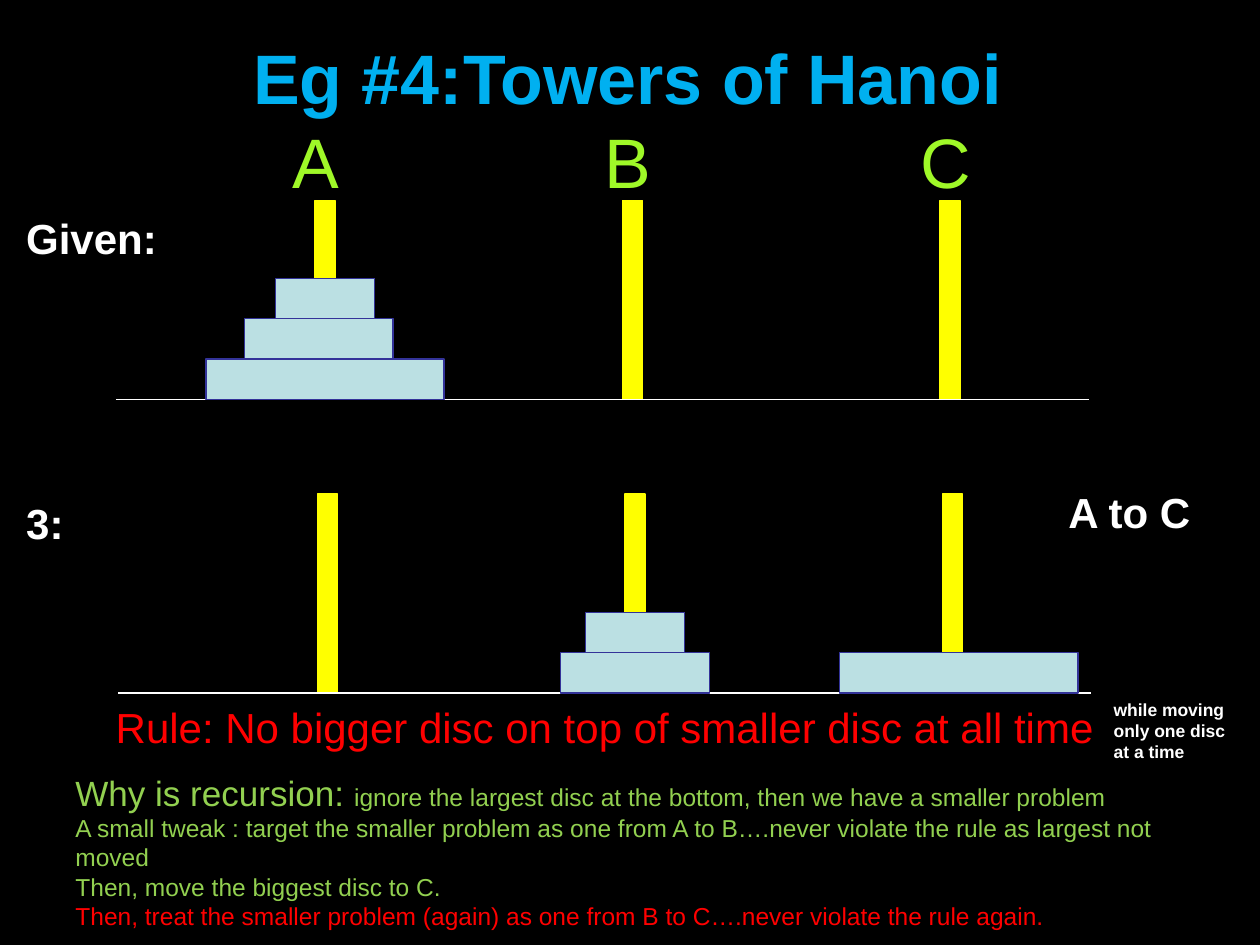
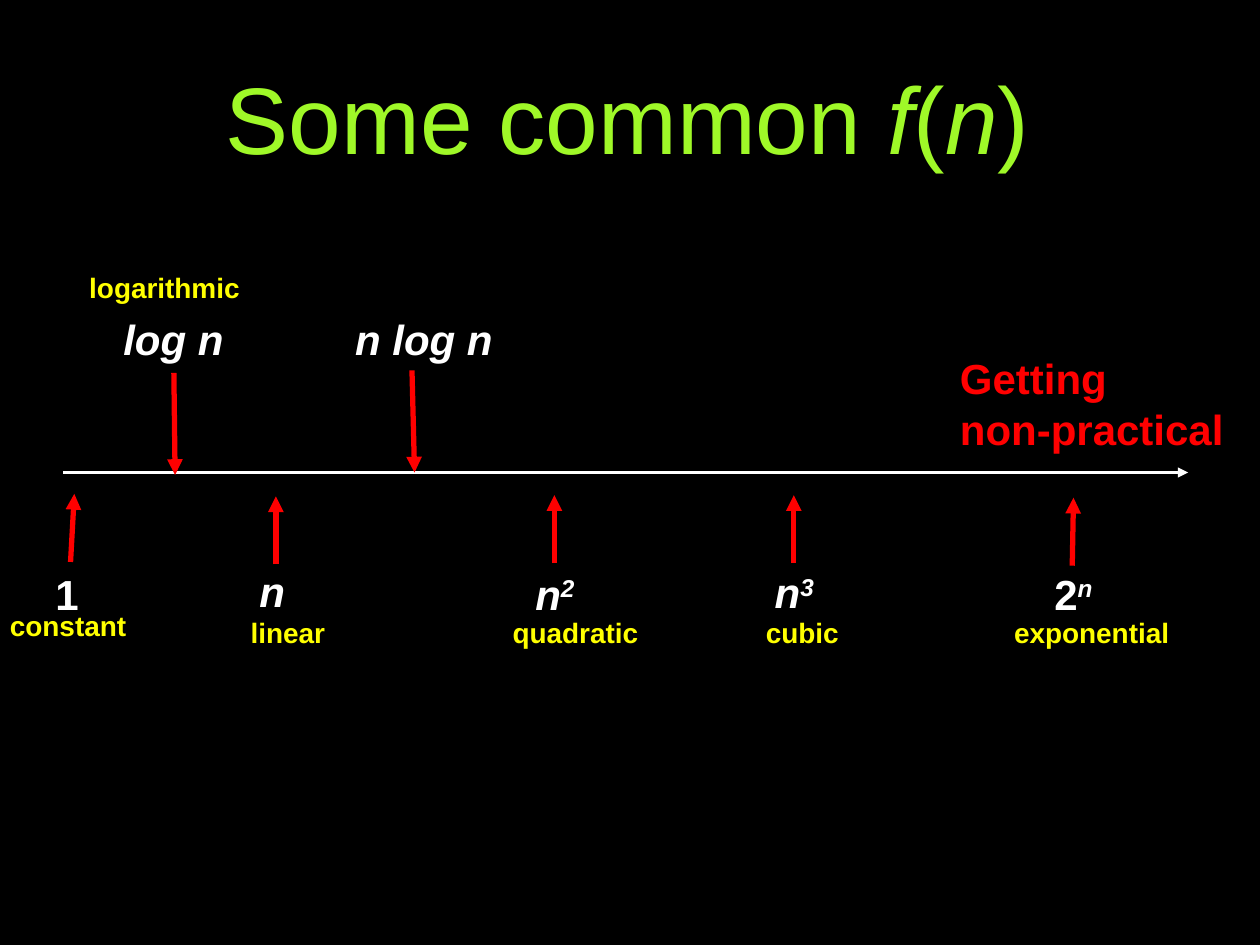
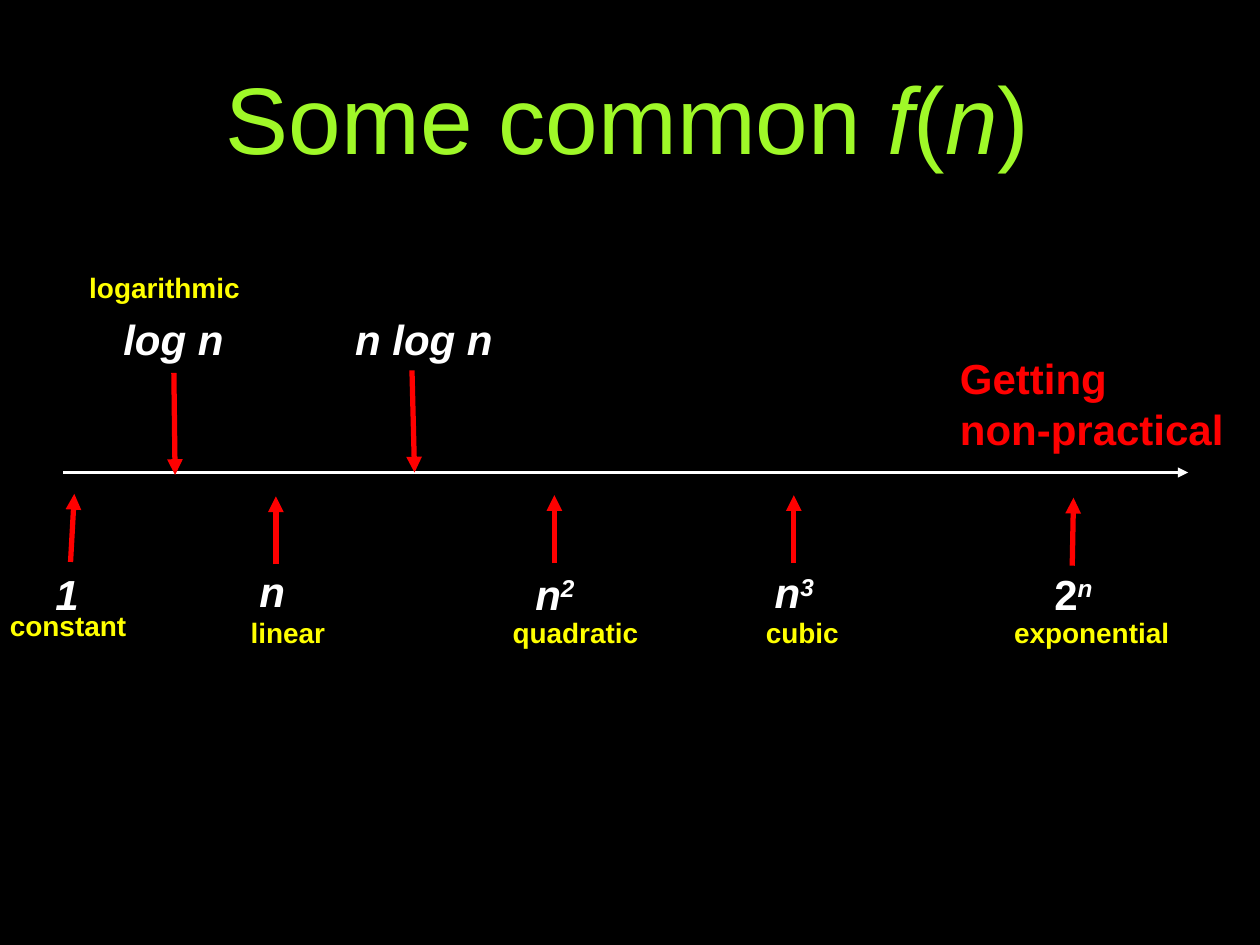
from lxml import etree
from pptx import Presentation
from pptx import util as u
from pptx.dml.color import RGBColor
from pptx.enum import shapes, text
from pptx.oxml.ns import qn

COLS, ROWS = 10, 7.5
CELL = u.Inches(1)
FONT = "Arial"
SLACK = 0.03
HUE = {
    "black": "000000", "white": "FFFFFF", "red": "FF0000", "yellow": "FFFF00",
    "lime": "9FF828", "green": "92D050", "sky": "00B0F0",
    "disc": "BBE0E3", "edge": "333399",
}
PEGS = {"A": 1.66, "B": 4.1, "C": 6.62}
DISCS = {"big": 1.89, "mid": 1.18, "small": 0.79}
PEG_W, PEG_H, DISC_H = 0.16, 1.58, 0.32
SLANT = {"italic": True}
RAISED = {"italic": True, "raised": True}


def grid(*cells):
    return [round(cell * CELL) for cell in cells]


def tint(name):
    return RGBColor.from_string(HUE[name])


def style(run, size=24, color="white", bold=False, italic=False, raised=False):
    font = run.font
    font.name, font.size = FONT, u.Pt(size)
    font.bold, font.italic = bold, italic
    font.color.rgb = tint(color)
    if raised:
        run._r.get_or_add_rPr().set("baseline", "30000")


def write(slide, box, words, align="LEFT", anchor="TOP", wrap=False, grow=True,
          inset=(0.1, 0.05, 0.1, 0.05), **format):
    left, top, width, height = box
    room = width if wrap else width + SLACK
    frame = slide.shapes.add_textbox(*grid(left, top, room, height)).text_frame
    frame.word_wrap = wrap
    frame.auto_size = text.MSO_AUTO_SIZE.SHAPE_TO_FIT_TEXT if grow else text.MSO_AUTO_SIZE.NONE
    frame.vertical_anchor = text.MSO_ANCHOR[anchor]
    (frame.margin_left, frame.margin_top,
     frame.margin_right, frame.margin_bottom) = grid(*inset)
    paras = [[(words, {})]] if isinstance(words, str) else words
    for i, runs in enumerate(paras):
        para = frame.add_paragraph() if i else frame.paragraphs[0]
        para.alignment = text.PP_ALIGN[align]
        for part, extra in runs:
            for j, line in enumerate(part.split("\n")):
                if j:
                    para.add_line_break()
                run = para.add_run()
                run.text = line
                style(run, **{**format, **extra})


def block(slide, box, fill, edge):
    shape = slide.shapes.add_shape(shapes.MSO_SHAPE.RECTANGLE, *grid(*box))
    shape.shadow.inherit = False
    shape.fill.solid()
    shape.fill.fore_color.rgb = tint(fill)
    shape.line.color.rgb = tint(edge)
    shape.line.width = u.Pt(0.75)


def rule(slide, start, end, color, width, arrow=False):
    line = slide.shapes.add_connector(
        shapes.MSO_CONNECTOR.STRAIGHT, *grid(*start, *end))
    line.line.color.rgb = tint(color)
    line.line.width = u.Pt(width)
    props = line._element.spPr
    if arrow:
        etree.SubElement(props.get_or_add_ln(), qn("a:tailEnd"), type="triangle")
    etree.SubElement(props, qn("a:effectLst"))


def page(deck):
    slide = deck.slides.add_slide(deck.slide_layouts[6])
    slide.background.fill.solid()
    slide.background.fill.fore_color.rgb = tint("black")
    return slide


def title(slide, words, height, **format):
    write(slide, (0.5, 0.07, COLS - 1, height), words, align="CENTER", anchor="MIDDLE",
          wrap=True, grow=False, inset=(0.06, 0.06, 0.1, 0.06), **format)


def board(slide, left, floor, stacks):
    for x in PEGS.values():
        block(slide, (left + x - PEG_W / 2, floor - PEG_H, PEG_W, PEG_H), "yellow", "yellow")
    rule(slide, (left, floor), (left + 7.72, floor), "white", 0.75)
    for peg, stack in stacks.items():
        for level, (disc, nudge) in enumerate(stack, 1):
            width = DISCS[disc]
            x = left + PEGS[peg] + nudge - width / 2
            block(slide, (x, floor - level * DISC_H, width, DISC_H), "disc", "edge")


def hanoi(deck):
    slide = page(deck)
    title(slide, "Eg #4:Towers of Hanoi", 1.08, size=40, color="sky", bold=True)
    board(slide, 0.92, 3.17, {"A": [("big", 0), ("mid", -0.05), ("small", 0)]})
    board(slide, 0.94, 5.5, {"B": [("mid", 0), ("small", 0)], "C": [("big", 0.05)]})
    for name, x, width in (("A", 2.21, 0.57), ("B", 4.68, 0.57), ("C", 7.19, 0.6)):
        write(slide, (x, 0.89, width, 0.77), name, align="CENTER", size=40, color="lime")
    for words, x, y, width in (("Given:", 0.11, 1.64, 1.24), ("3:", 0.11, 3.9, 0.49),
                               ("A to C", 8.38, 3.81, 1.18)):
        write(slide, (x, y, width, 0.5), words, bold=True)
    write(slide, (0.82, 5.52, 7.97, 0.5), wrap=True, color="red",
          words="Rule: No bigger disc on top of smaller disc at all time")
    write(slide, (8.74, 5.5, 1.12, 0.6), "while moving\nonly one disc \nat a time",
          size=10, bold=True)
    write(slide, (0.5, 6.07, 9.38, 1.37), [
        [("Why is recursion: ", {"size": 20}),
         ("ignore the largest disc at the bottom, then we have a smaller problem", {})],
        [("A small tweak : target the smaller problem as one from A to B….never violate "
          "the rule as largest not moved", {})],
        [("Then, move the biggest disc to C.", {})],
        [("Then, treat the smaller problem (again) as one from B to C….never violate "
          "the rule again.", {"color": "red"})],
    ], wrap=True, size=14, color="green")


def scale(slide, left, axis, first):
    rule(slide, (left, axis), (left + 8.93, axis), "white", 1.5, arrow=True)
    arrows = (
        (0.06, 0.71, 0.09, 0.17), (1.69, 0.73, 1.69, 0.19), (3.9, 0.72, 3.9, 0.18),
        (5.8, 0.72, 5.8, 0.18), (8.01, 0.74, 8.02, 0.2),
        (0.88, -0.79, 0.89, 0.02), (2.77, -0.81, 2.79, 0),
    )
    for x1, y1, x2, y2 in arrows:
        rule(slide, (left + x1, axis + y1), (left + x2, axis + y2), "red", 3, arrow=True)
    terms = (
        ([("1", first)], -0.16, 0.71, 0.38, 0.5),
        ([("n", SLANT)], 1.46, 0.69, 0.4, 0.5),
        ([("n", SLANT), ("2", RAISED)], 3.65, 0.71, 0.51, 0.5),
        ([("n", SLANT), ("3", RAISED)], 5.55, 0.7, 0.51, 0.5),
        ([("2", {}), ("n", RAISED)], 7.77, 0.71, 0.5, 0.9),
        ([("log n", SLANT)], 0.38, -1.31, 0.99, 0.5),
        ([("n log n", SLANT)], 2.22, -1.31, 1.29, 0.5),
    )
    for runs, x, y, width, height in terms:
        write(slide, (left + x, axis + y, width, height), [runs], bold=True)
    names = (
        ("constant", -0.52, 1.03, 1.12), ("linear", 1.39, 1.09, 0.79),
        ("quadratic", 3.47, 1.09, 1.2), ("cubic", 5.48, 1.09, 0.78),
        ("exponential", 7.45, 1.09, 1.43), ("logarithmic", 0.11, -1.65, 1.39),
    )
    for name, x, y, width in names:
        write(slide, (left + x, axis + y, width, 0.37), name,
              size=16, color="yellow", bold=True)
    write(slide, (left + 7.02, axis - 1, 2.29, 0.9), "Getting \nnon-practical",
          color="red", bold=True)


def growth(deck, first):
    slide = page(deck)
    title(slide, [[("Some common ", {}), ("f", SLANT), ("(", {}), ("n", SLANT), (")", {})]],
          1.71, size=54, color="lime")
    scale(slide, 0.5, ROWS / 2, first)


def main():
    deck = Presentation()
    deck.slide_width, deck.slide_height = grid(COLS, ROWS)
    hanoi(deck)
    for first in ({}, SLANT):
        growth(deck, first)
    deck.save("out.pptx")


if __name__ == "__main__":
    main()
